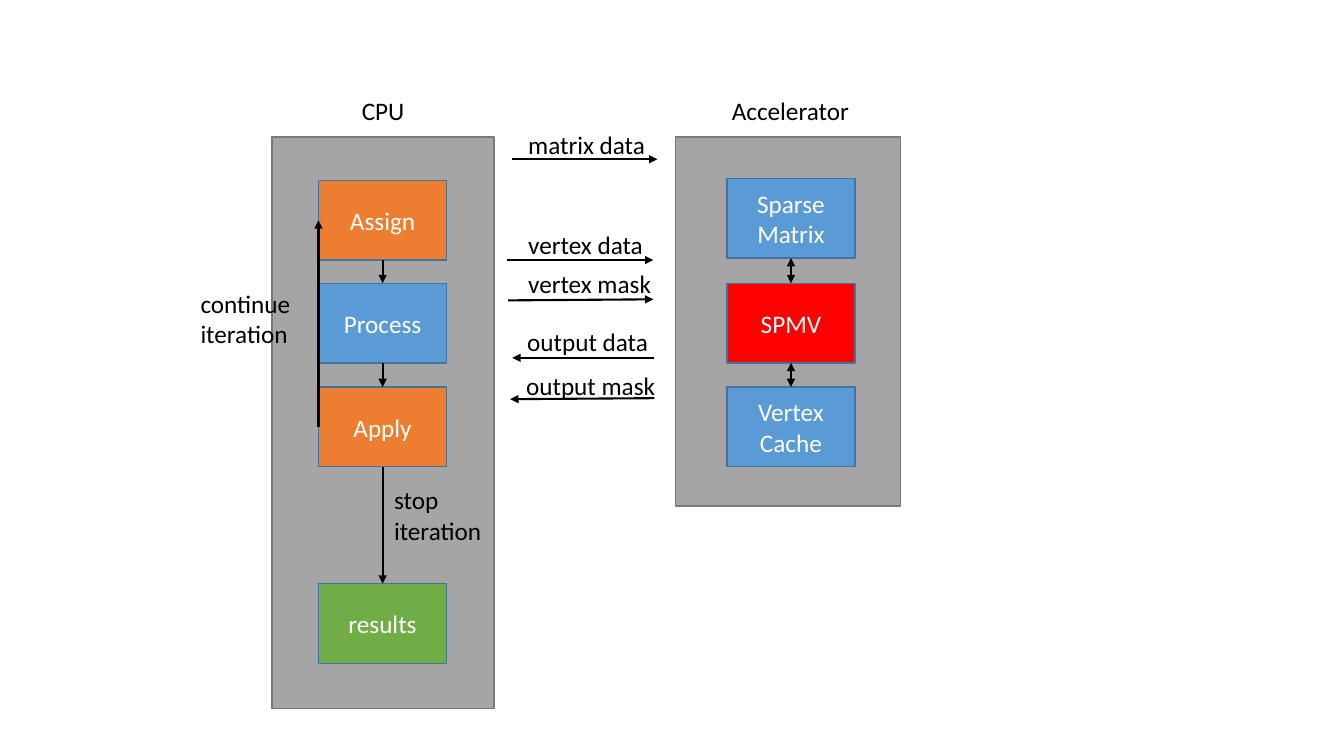
from lxml.etree import SubElement
from pptx import Presentation
from pptx.dml.color import RGBColor
from pptx.enum.shapes import MSO_CONNECTOR, MSO_SHAPE
from pptx.enum.text import MSO_ANCHOR, MSO_AUTO_SIZE, PP_ALIGN
from pptx.oxml.ns import qn
from pptx.util import Inches, Pt

BLACK = RGBColor(0x00, 0x00, 0x00)
WHITE = RGBColor(0xFF, 0xFF, 0xFF)
GRAY = RGBColor(0xA5, 0xA5, 0xA5)
GRAY_EDGE = RGBColor(0x7A, 0x7A, 0x7A)
ORANGE = RGBColor(0xED, 0x7D, 0x31)
BLUE = RGBColor(0x5B, 0x9B, 0xD5)
BLUE_EDGE = RGBColor(0x43, 0x73, 0x9E)
GREEN = RGBColor(0x70, 0xAD, 0x47)
RED = RGBColor(0xFF, 0x00, 0x00)

TOP, LEFT, BOTTOM = 0, 1, 2
STEP_WIDTH, STEP_HEIGHT = 1.27, 0.79
CPU_LEFT, ACCELERATOR_LEFT = 3.16, 7.21


class Diagram:
    font_name = "Calibri"
    font_size = Pt(18)

    def __init__(self, page):
        self.page = page

    def add_span(self, para, text, color):
        span = para.add_run()
        span.text = text
        span.font.name = self.font_name
        span.font.size = self.font_size
        span.font.color.rgb = color

    def rectangle(self, left, top, width, height, fill, edge):
        box = self.page.shapes.add_shape(
            MSO_SHAPE.RECTANGLE, Inches(left), Inches(top), Inches(width), Inches(height))
        box.shadow.inherit = False
        box.fill.solid()
        box.fill.fore_color.rgb = fill
        box.line.color.rgb = edge
        box.line.width = Pt(1)
        return box

    def step(self, text, left, top, fill):
        box = self.rectangle(left, top, STEP_WIDTH, STEP_HEIGHT, fill, BLUE_EDGE)
        box.text_frame.word_wrap = True
        box.text_frame.vertical_anchor = MSO_ANCHOR.MIDDLE
        para = box.text_frame.paragraphs[0]
        para.alignment = PP_ALIGN.CENTER
        self.add_span(para, text, WHITE)
        return box

    def label(self, text, left, top, width, height=0.4, wrap=False):
        box = self.page.shapes.add_textbox(
            Inches(left), Inches(top), Inches(width), Inches(height))
        box.text_frame.word_wrap = wrap
        box.text_frame.auto_size = MSO_AUTO_SIZE.SHAPE_TO_FIT_TEXT
        self.add_span(box.text_frame.paragraphs[0], text, BLACK)

    def arrow(self, start=(0, 0), end=(0, 0), kind=MSO_CONNECTOR.STRAIGHT, both=False):
        line = self.page.shapes.add_connector(
            kind, *(Inches(length) for length in (*start, *end)))
        line.line.color.rgb = BLACK
        line.line.width = Pt(1.5)
        properties = line.element.spPr
        outline = properties.find(qn("a:ln"))
        for end_name in ("a:headEnd", "a:tailEnd") if both else ("a:tailEnd",):
            SubElement(outline, qn(end_name), type="triangle")
        SubElement(properties, qn("a:effectLst"))
        return line

    def link(self, source, target, both=False):
        line = self.arrow(both=both)
        line.begin_connect(source, BOTTOM)
        line.end_connect(target, TOP)

    def loop(self, source, target):
        line = self.arrow(kind=MSO_CONNECTOR.ELBOW)
        line.begin_connect(source, LEFT)
        line.end_connect(target, LEFT)
        properties = line.element.spPr
        frame = properties.find(qn("a:xfrm"))
        frame.set("rot", "10800000")
        frame.set("flipH", "1")
        frame.set("flipV", "0")
        guides = properties.find(qn("a:prstGeom")).find(qn("a:avLst"))
        SubElement(guides, qn("a:gd"), name="adj1", fmla="val -228600")


def main():
    deck = Presentation()
    deck.slide_width = Inches(13.33)
    deck.slide_height = Inches(7.5)
    diagram = Diagram(deck.slides.add_slide(deck.slide_layouts[6]))

    diagram.rectangle(2.7, 1.36, 2.2, 5.67, GRAY, GRAY_EDGE)
    diagram.rectangle(6.7, 1.36, 2.23, 3.66, GRAY, GRAY_EDGE)
    diagram.label("CPU", 3.49, 0.9, 0.63)
    diagram.label("Accelerator", 7.16, 0.9, 1.38)

    cpu_steps = [diagram.step(text, CPU_LEFT, top, fill) for text, top, fill in (
        ("Assign", 1.79, ORANGE),
        ("Process", 2.81, BLUE),
        ("Apply", 3.84, ORANGE),
        ("results", 5.79, GREEN),
    )]
    accelerator_steps = [diagram.step(text, ACCELERATOR_LEFT, top, fill) for text, top, fill in (
        ("Sparse Matrix", 1.77, BLUE),
        ("SPMV", 2.81, RED),
        ("Vertex Cache", 3.84, BLUE),
    )]
    for steps, both in ((cpu_steps, False), (accelerator_steps, True)):
        for source, target in zip(steps, steps[1:]):
            diagram.link(source, target, both)
    assign, process, apply_step, results = cpu_steps
    diagram.loop(apply_step, assign)

    diagram.label("stop iteration", 3.81, 4.76, 1.25, 0.71, wrap=True)
    diagram.label("continue iteration", 1.89, 2.81, 1.25, 0.71, wrap=True)

    for text, left, top, width, start, end in (
        ("matrix data", 5.14, 1.23, 1.37, (5.08, 1.58), (6.52, 1.58)),
        ("vertex data", 5.14, 2.23, 1.35, (5.03, 2.58), (6.48, 2.58)),
        ("vertex mask", 5.14, 2.61, 1.43, (5.04, 2.98), (6.48, 2.97)),
        ("output data", 5.13, 3.19, 1.41, (6.49, 3.55), (5.08, 3.55)),
        ("output mask", 5.12, 3.62, 1.5, (6.49, 3.95), (5.06, 3.96)),
    ):
        diagram.arrow(start, end)
        diagram.label(text, left, top, width)

    deck.save("out.pptx")


if __name__ == "__main__":
    main()
